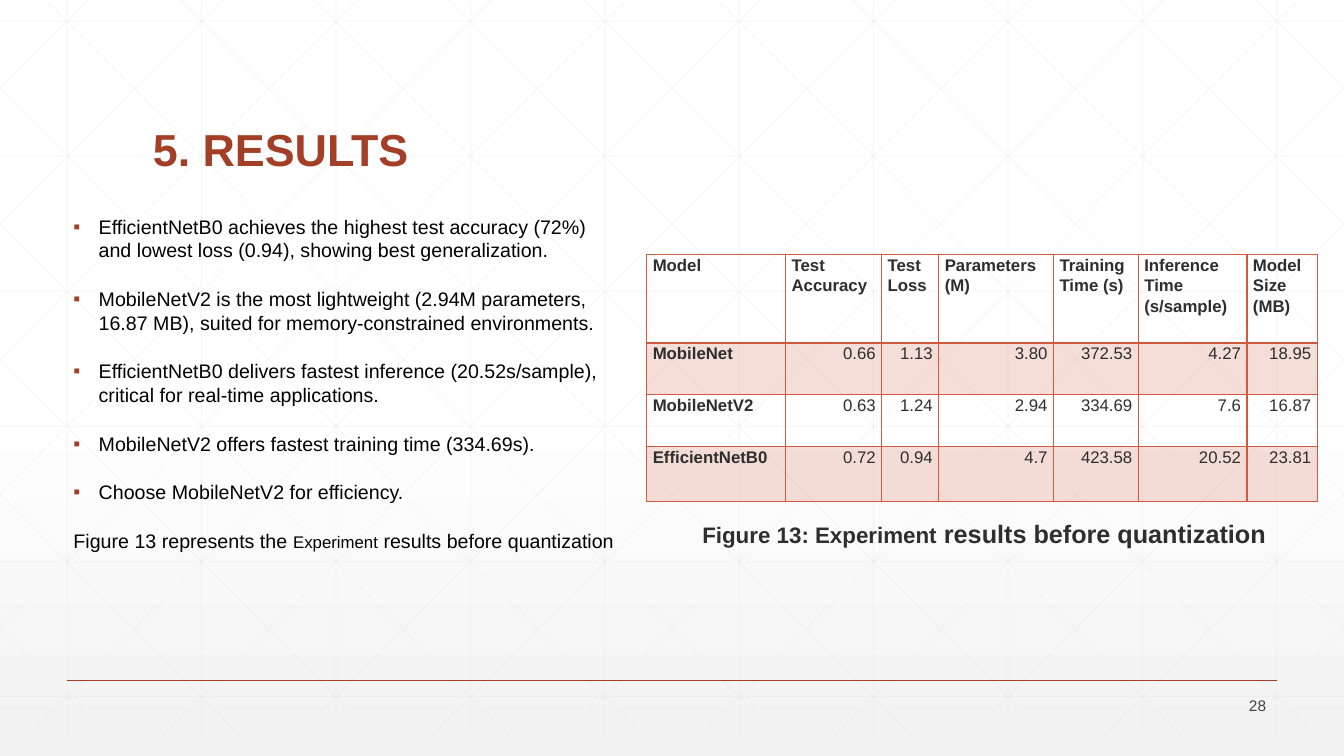
import pptx
import pptx.util
import pptx.dml.color
import pptx.enum.shapes
import pptx.enum.text
import pptx.oxml
import pptx.oxml.ns
import lxml.etree

Pt = pptx.util.Pt
ALIGN = pptx.enum.text.PP_ALIGN
ANCHOR = pptx.enum.text.MSO_ANCHOR
FONT = "Arial"
WIDE, HIGH = 960, 540
HEX = {
    "white": "FFFFFF", "fade": "F2F2F2", "grid": "D9D9D9", "rust": "A43F27",
    "edge": "D15A3E", "ink": "2D2E2D", "gray": "424342", "black": "000000",
}
POINTS = [
    "EfficientNetB0 achieves the highest test accuracy (72%) and lowest loss (0.94), "
    "showing best generalization.",
    "MobileNetV2 is the most lightweight (2.94M parameters, 16.87 MB), suited for "
    "memory-constrained environments.",
    "EfficientNetB0 delivers fastest inference (20.52s/sample), critical for "
    "real-time applications.",
    "MobileNetV2 offers fastest training time (334.69s).",
    "Choose MobileNetV2 for efficiency.",
]
NOTE = [("Figure 13 represents the ", 14), ("Experiment", 12),
        (" results before quantization", 14)]
LABEL = [("Figure 13: Experiment", 16), (" results before quantization", 18)]
ROWS = [
    ["Model", "Test Accuracy", "Test Loss", "Parameters\n(M)", "Training Time (s)",
     "Inference Time (s/sample)", "Model Size (MB)"],
    ["MobileNet", "0.66", "1.13", "3.80", "372.53", "4.27", "18.95"],
    ["MobileNetV2", "0.63", "1.24", "2.94", "334.69", "7.6", "16.87"],
    ["EfficientNetB0", "0.72", "0.94", "4.7", "423.58", "20.52", "23.81"],
]
COLS = [99.2, 68.6, 40.8, 82, 60.6, 77.6, 50.2]
TALL = [63.4, 37, 37, 39.6]


def rgb(name):
    """Return the named colour."""
    return pptx.dml.color.RGBColor.from_string(HEX[name])


def node(parent, tag, **attrs):
    """Append a drawing element."""
    return lxml.etree.SubElement(parent, pptx.oxml.ns.qn("a:" + tag), attrs)


def fade(fill, part):
    """Set the opacity of a solid fill, in percent."""
    for tone in fill.iter(pptx.oxml.ns.qn("a:srgbClr")):
        node(tone, "alpha", val=str(part * 1000))


def style(run, size, color, bold=False):
    """Format one run."""
    font = run.font
    font.name, font.size, font.bold = FONT, Pt(size), bold
    font.color.rgb = rgb(color)


def line(slide, ends, color, width, part=100):
    """Draw a straight line."""
    kind = pptx.enum.shapes.MSO_CONNECTOR.STRAIGHT
    rule = slide.shapes.add_connector(kind, *[Pt(end) for end in ends])
    rule.line.color.rgb = rgb(color)
    rule.line.width = Pt(width)
    props = rule.element.spPr
    if part < 100:
        fade(props, part)
    node(props, "effectLst")


def grid(slide):
    """Draw the pale lattice of upright, level and slanted lines."""
    top, low, run = -15, 525, 537
    ends = [(x, top, x, low) for x in range(48, WIDE, 96)]
    ends += [(0, 15 + 96.5 * i, WIDE, 15 + 96.5 * i) for i in range(6)]
    for start in range(18 - 5 * 96, WIDE, 96):
        left, right = max(start, 0), min(start + run, WIDE)
        high, deep = [top + (x - start) * (low - top) / run for x in (left, right)]
        ends.append((left, high, right, deep))
        ends.append((WIDE - left, high, WIDE - right, deep))
    for item in ends:
        line(slide, item, "grid", 0.5, 25)


def ground(slide):
    """Shade the background towards the foot."""
    fill = slide.background.fill
    fill.gradient()
    fill.gradient_angle = 270
    for stop, color, place in zip(fill.gradient_stops, ("white", "fade"), (0.53, 1)):
        stop.color.rgb = rgb(color)
        stop.position = place


def head(slide, text):
    """Place and format the title above the lattice."""
    title = slide.shapes.title
    title.left, title.top, title.width, title.height = Pt(102), Pt(39.6), Pt(756), Pt(90)
    frame = title.text_frame
    frame.text = text
    frame.vertical_anchor = ANCHOR.BOTTOM
    para = frame.paragraphs[0]
    para.alignment, para.line_spacing = ALIGN.LEFT, 0.9
    style(para.runs[0], 32, "rust", True)
    title.element.getparent().append(title.element)


def box(slide, left, top, width, height):
    """Add a wrapping text box and return its frame."""
    frame = slide.shapes.add_textbox(Pt(left), Pt(top), Pt(width), Pt(height)).text_frame
    frame.word_wrap = True
    return frame


def write(para, parts, color, bold=False):
    """Fill a paragraph with runs of given sizes."""
    for text, size in parts:
        run = para.add_run()
        run.text = text
        style(run, size, color, bold)


def bullet(para):
    """Give a paragraph a square bullet and a hanging indent."""
    props = para._p.get_or_add_pPr()
    props.set("marL", str(Pt(18)))
    props.set("indent", str(-Pt(18)))
    node(node(props, "buClr"), "srgbClr", val=HEX["rust"])
    node(props, "buFont", typeface=FONT)
    node(props, "buChar", char="▪")


def body(slide):
    """Write the findings and the closing note."""
    frame = box(slide, 45.4, 149.8, 406.8, 285.8)
    for i, text in enumerate(POINTS):
        para = frame.paragraphs[0]
        if i:
            para = frame.add_paragraph()
            para.space_before = Pt(18)
        bullet(para)
        write(para, [(text, 14)], "black")
    para = frame.add_paragraph()
    para.space_before = Pt(18)
    write(para, NOTE, "black")


def border(cell, row):
    """Outline a cell, with a heavier rule under the header."""
    props = cell._tc.get_or_add_tcPr()
    for i, side in enumerate("LRTB"):
        heavy = (row, side) in ((0, "B"), (1, "T"))
        edge = node(props, "ln" + side, w=str(Pt(2 if heavy else 1)))
        node(node(edge, "solidFill"), "srgbClr", val=HEX["edge"])
        props.insert(i, edge)


def fill(cell, row, col, text):
    """Write and format one table cell."""
    cell.margin_left = cell.margin_right = Pt(4.3)
    cell.margin_top = cell.margin_bottom = 0
    cell.text_frame.text = text
    for para in cell.text_frame.paragraphs:
        para.alignment = ALIGN.RIGHT if row and col else ALIGN.LEFT
        para.line_spacing = 1.1
        style(para.runs[0], 12, "ink", not (row and col))
    if row % 2:
        cell.fill.solid()
        cell.fill.fore_color.rgb = rgb("edge")
        fade(cell._tc.tcPr, 20)
    else:
        cell.fill.background()
    border(cell, row)


def table(slide):
    """Build the table of model results."""
    frame = slide.shapes.add_table(len(ROWS), len(COLS), Pt(462), Pt(181.5),
                                   Pt(sum(COLS)), Pt(sum(TALL)))
    data = frame.table
    data.first_row = data.horz_banding = False
    for col, width in zip(data.columns, COLS):
        col.width = Pt(width)
    for i, texts in enumerate(ROWS):
        data.rows[i].height = Pt(TALL[i])
        for j, text in enumerate(texts):
            fill(data.cell(i, j), i, j, text)


def main():
    """Build and save the results slide."""
    deck = pptx.Presentation()
    deck.slide_width, deck.slide_height = Pt(WIDE), Pt(HIGH)
    slide = deck.slides.add_slide(deck.slide_layouts[5])
    ground(slide)
    grid(slide)
    line(slide, (48, 486, 912, 486), "rust", 1)
    head(slide, "5. RESULTS")
    table(slide)
    page = box(slide, 839.5, 495.4, 72, 17.3)
    page.vertical_anchor = ANCHOR.MIDDLE
    page.paragraphs[0].alignment = ALIGN.RIGHT
    write(page.paragraphs[0], [("28", 11)], "gray")
    body(slide)
    write(box(slide, 494.6, 366.5, 465, 28.8).paragraphs[0], LABEL, "ink", True)
    deck.save("out.pptx")


if __name__ == "__main__":
    main()
